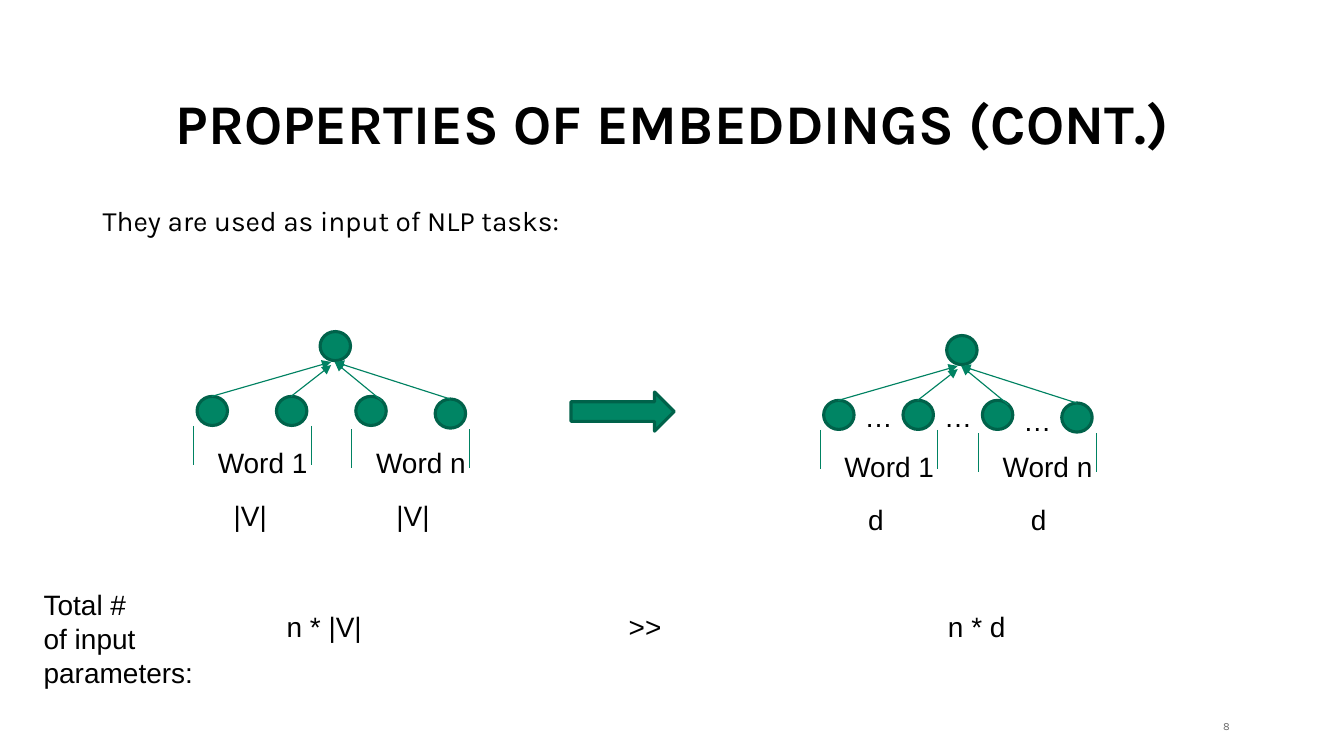
import pptx
import pptx.dml.color
import pptx.enum.shapes
import pptx.enum.text
import pptx.oxml.ns
import pptx.util
from dataclasses import dataclass, field
from lxml import etree
from typing import Any

Cm = pptx.util.Cm
Pt = pptx.util.Pt
SHAPE = pptx.enum.shapes.MSO_SHAPE
ALIGN = pptx.enum.text.PP_ALIGN
ANCHOR = pptx.enum.text.MSO_ANCHOR


@dataclass(frozen=True)
class Theme:
    ink: str = "000000"
    muted: str = "6E6E6E"
    fill: str = "008564"
    outline: str = "00624A"
    line: str = "008262"
    heading_font: str = "Karla"
    label_font: str = "Arial"
    title_size: int = 36
    text_size: int = 18
    number_size: int = 7
    outline_width: float = 2
    line_width: float = 0.75


@dataclass(frozen=True)
class Label:
    lines: tuple[str, ...]
    left: float
    top: float
    width: float
    height: float = 1.02
    indent: float = 0
    font: str = "Arial"
    size: int = 18
    color: str = "000000"
    bold: bool = False
    frame: dict[str, Any] = field(default_factory=dict)
    paragraph: dict[str, Any] = field(default_factory=dict)


@dataclass(frozen=True)
class Tree:
    left: float
    top: float
    count: str
    count_indent: float
    dots: bool


THEME = Theme()
NO_INSETS = {f"margin_{side}": 0 for side in ("left", "top", "right", "bottom")}


def rgb(value: str) -> pptx.dml.color.RGBColor:
    return pptx.dml.color.RGBColor.from_string(value)


def apply(target: Any, values: dict[str, Any]) -> None:
    for name, value in values.items():
        setattr(target, name, value)


def add_label(shapes: Any, label: Label) -> None:
    box = shapes.add_textbox(Cm(label.left), Cm(label.top), Cm(label.width), Cm(label.height))
    apply(box.text_frame, {"word_wrap": True, **label.frame})
    for index, line in enumerate(label.lines):
        para = box.text_frame.paragraphs[0] if index == 0 else box.text_frame.add_paragraph()
        apply(para, label.paragraph)
        if label.indent:
            para._p.get_or_add_pPr().set("marL", str(Cm(label.indent)))
        span = para.add_run()
        span.text = line
        apply(span.font, {"name": label.font, "size": Pt(label.size), "bold": label.bold})
        span.font.color.rgb = rgb(label.color)


def add_solid(shapes: Any, kind: Any, left: float, top: float, width: float, height: float) -> None:
    shape = shapes.add_shape(kind, Cm(left), Cm(top), Cm(width), Cm(height))
    shape.shadow.inherit = False
    shape.fill.solid()
    shape.fill.fore_color.rgb = rgb(THEME.fill)
    shape.line.color.rgb = rgb(THEME.outline)
    shape.line.width = Pt(THEME.outline_width)


def add_line(shapes: Any, x1: float, y1: float, x2: float, y2: float, arrow: bool = False) -> None:
    line = shapes.add_connector(pptx.enum.shapes.MSO_CONNECTOR.STRAIGHT, Cm(x1), Cm(y1), Cm(x2), Cm(y2))
    line.line.color.rgb = rgb(THEME.line)
    line.line.width = Pt(THEME.line_width)
    if arrow:
        etree.SubElement(line.line._get_or_add_ln(), pptx.oxml.ns.qn("a:tailEnd"), type="triangle")
    etree.SubElement(line._element.spPr, pptx.oxml.ns.qn("a:effectLst"))


# Tree geometry, relative to the tree's top left corner
NODE_WIDTH, NODE_HEIGHT, NODE_STEP = 0.69, 0.66, 1.8
INPUT_TOPS = (1.47, 1.47, 1.47, 1.53)
ARROWS = (
    (0.41, 1.47, 3.12, 0.69),
    (2.21, 1.47, 3.12, 0.76),
    (4.27, 1.57, 3.2, 0.69),
    (5.82, 1.53, 3.2, 0.69),
)
DOT_TOPS = (1.33, 1.33, 1.41)
# Word, left edge of its bracket, top of its bracket, left edge of its count
WORDS = (("Word 1", 0, 2.14, 0.66), ("Word n", 3.59, 2.21, 4.35))
BRACKET_WIDTH, BRACKET_HEIGHT = 2.67, 0.89


def add_tree(page: Any, tree: Tree) -> None:
    shapes = page.shapes.add_group_shape().shapes
    x, y = tree.left, tree.top

    # Output node, input nodes and arrows
    add_solid(shapes, SHAPE.OVAL, x + 2.87, y, NODE_WIDTH, NODE_HEIGHT)
    for index, top in enumerate(INPUT_TOPS):
        add_solid(shapes, SHAPE.OVAL, x + 0.08 + index * NODE_STEP, y + top, NODE_WIDTH, NODE_HEIGHT)
    for x1, y1, x2, y2 in ARROWS:
        add_line(shapes, x + x1, y + y1, x + x2, y + y2, arrow=True)

    # Dots between the inputs
    if tree.dots:
        for index, top in enumerate(DOT_TOPS):
            add_label(shapes, Label(("…",), x + 1.01 + index * NODE_STEP, y + top, 0.64,
                                    frame={"margin_left": 0, "margin_right": 0, "word_wrap": False}))

    # Brackets, words and counts
    for word, left, top, count_left in WORDS:
        for edge in (left, left + BRACKET_WIDTH):
            add_line(shapes, x + edge, y + top, x + edge, y + top + BRACKET_HEIGHT)
        add_label(shapes, Label((word,), x + left + 0.3, y + 2.46, 2.57, frame={"word_wrap": False}))
        add_label(shapes, Label((tree.count,), x + count_left, y + 3.66, 1.47, indent=tree.count_indent))


LABELS = (
    Label(("PROPERTIES OF EMBEDDINGS (CONT.)",), 1.4, 2.03, 27.71, 1.65,
          font=THEME.heading_font, size=THEME.title_size, bold=True,
          frame={"vertical_anchor": ANCHOR.BOTTOM},
          paragraph={"alignment": ALIGN.CENTER, "line_spacing": 0.9}),
    Label(("They are used as input of NLP tasks:",), 2.08, 4.57, 26.29, 1.6,
          font=THEME.heading_font,
          paragraph={"line_spacing": 0.9, "space_before": Pt(9), "space_after": Pt(9)}),
    Label(("Total #", "of input parameters:"), 0.74, 13.21, 4.83, 2.57),
    Label(("n * |V|",), 6.07, 13.69, 2.87, indent=0.18),
    Label((">>",), 12.95, 13.69, 2.87, indent=1.06),
    Label(("n * d",), 20.37, 13.69, 2.87, indent=0.88),
    Label(("8",), 27.08, 16.28, 0.81, 0.38,
          font=THEME.heading_font, size=THEME.number_size, color=THEME.muted,
          frame={**NO_INSETS, "vertical_anchor": ANCHOR.MIDDLE},
          paragraph={"alignment": ALIGN.RIGHT}),
)
TREES = (
    Tree(4.39, 7.52, "|V|", 0, dots=False),
    Tree(18.6, 7.61, "d", 0.18, dots=True),
)

deck = pptx.Presentation()
apply(deck, {"slide_width": Cm(30.48), "slide_height": Cm(30.48 * 9 / 16)})
page = deck.slides.add_slide(deck.slide_layouts[6])

# Headings, totals and page number
for label in LABELS:
    add_label(page.shapes, label)

# Two networks with an arrow between them
for tree in TREES:
    add_tree(page, tree)
add_solid(page.shapes, SHAPE.RIGHT_ARROW, 12.95, 8.89, 2.34, 0.89)

deck.save("out.pptx")
